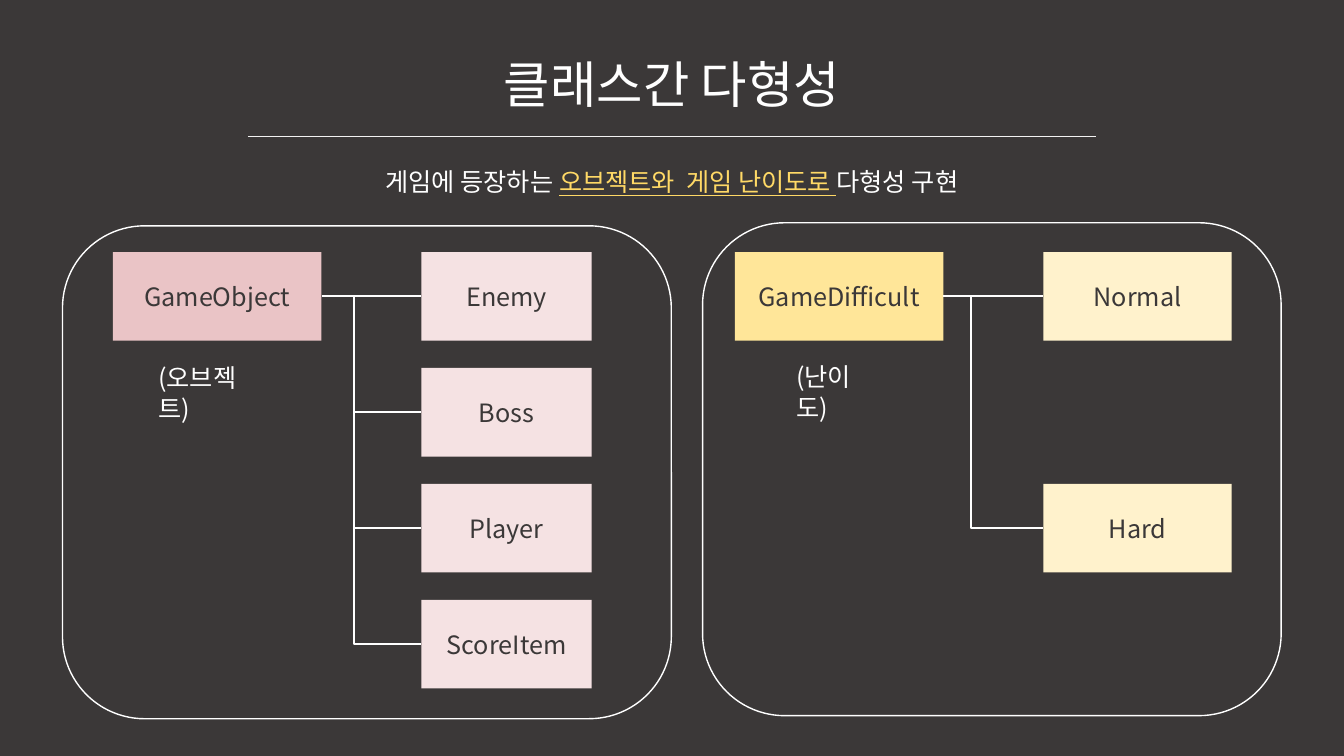
from dataclasses import dataclass

from lxml.etree import SubElement
from pptx import Presentation
from pptx.dml.color import RGBColor
from pptx.enum.shapes import MSO_CONNECTOR as Link, MSO_SHAPE as Form
from pptx.enum.text import MSO_ANCHOR as Anchor, PP_ALIGN as Align
from pptx.oxml.ns import qn
from pptx.util import Inches, Pt

FONT = "Noto Sans CJK KR"
DARK = RGBColor(0x3B, 0x38, 0x38)
WHITE = RGBColor(0xFF, 0xFF, 0xFF)
PALE = RGBColor(0xF2, 0xF2, 0xF2)
GOLD = RGBColor(0xFF, 0xD9, 0x66)
ROSE = RGBColor(0xEA, 0xC4, 0xC6)
BLUSH = RGBColor(0xF5, 0xE2, 0xE3)
YELLOW = RGBColor(0xFF, 0xE6, 0x99)
CREAM = RGBColor(0xFF, 0xF2, 0xCC)

CELL = Inches(0.1)
COLS, ROWS = 133.33, 75
TOP, STEP, HIGH = 25, 11.5, 8.8
ROOT_WIDE = 20.7


@dataclass(frozen=True)
class Area:
    left: float
    top: float
    wide: float
    high: float


@dataclass(frozen=True)
class Run:
    text: str
    color: RGBColor = WHITE
    size: int = 18
    under: bool = False


@dataclass(frozen=True)
class Child:
    name: str
    row: int


@dataclass(frozen=True)
class Family:
    root: str
    left: float
    fill: RGBColor
    kids: tuple[Child, ...]
    kid_left: float
    kid_wide: float
    tint: RGBColor
    trunk: float
    frame: Area
    note: str
    note_area: Area


FAMILIES = (
    Family("GameObject", 11.2, ROSE,
           (Child("Enemy", 0), Child("Boss", 1), Child("Player", 2), Child("ScoreItem", 3)),
           41.8, 16.9, BLUSH, 35.1, Area(6.2, 22.4, 60.4, 48.9),
           "(오브젝트)", Area(14.7, 35.5, 12.8, 4)),
    Family("GameDifficult", 72.9, YELLOW,
           (Child("Normal", 0), Child("Hard", 2)),
           103.5, 18.7, CREAM, 96.3, Area(69.7, 22.1, 57.4, 48.9),
           "(난이도)", Area(78, 35.4, 10.5, 4)),
)


def cells(count: float) -> int:
    return round(count * CELL)


def bounds(area: Area) -> tuple[int, ...]:
    return tuple(cells(n) for n in (area.left, area.top, area.wide, area.high))


def row_top(row: int) -> float:
    return TOP + STEP * row


def row_mid(row: int) -> float:
    return row_top(row) + HIGH / 2


def write(frame, runs: tuple[Run, ...], align: Align, anchor: Anchor) -> None:
    frame.word_wrap = True
    frame.vertical_anchor = anchor
    para = frame.paragraphs[0]
    para.alignment = align
    for item in runs:
        run = para.add_run()
        run.text = item.text
        font = run.font
        font.name, font.size = FONT, Pt(item.size)
        font.color.rgb = item.color
        font.underline = item.under
        SubElement(run._r.rPr, qn("a:ea"), typeface=FONT)


def add_text(shapes, area: Area, runs: tuple[Run, ...], align: Align) -> None:
    box = shapes.add_textbox(*bounds(area))
    write(box.text_frame, runs, align, Anchor.TOP)


def add_box(shapes, area: Area, name: str, fill: RGBColor) -> None:
    box = shapes.add_shape(Form.RECTANGLE, *bounds(area))
    box.shadow.inherit = False
    box.fill.solid()
    box.fill.fore_color.rgb = fill
    box.line.fill.background()
    write(box.text_frame, (Run(name, DARK),), Align.CENTER, Anchor.MIDDLE)


def add_frame(shapes, area: Area) -> None:
    frame = shapes.add_shape(Form.ROUNDED_RECTANGLE, *bounds(area))
    frame.shadow.inherit = False
    frame.fill.background()
    frame.line.color.rgb = WHITE
    frame.line.width = Pt(1)


def add_line(shapes, x1: float, y1: float, x2: float, y2: float,
             color: RGBColor = WHITE, width: float = 1.5, kind: Link = Link.STRAIGHT):
    line = shapes.add_connector(kind, *(cells(n) for n in (x1, y1, x2, y2)))
    line.line.color.rgb = color
    line.line.width = Pt(width)
    SubElement(line._element.spPr, qn("a:effectLst"))
    return line


def add_elbow(shapes, x1: float, y1: float, x2: float, y2: float) -> None:
    mid_x, mid_y = (x1 + x2) / 2, (y1 + y2) / 2
    half_w, half_h = (y2 - y1) / 2, (x2 - x1) / 2
    line = add_line(shapes, mid_x + half_w, mid_y - half_h,
                    mid_x - half_w, mid_y + half_h, kind=Link.ELBOW)
    props = line._element.spPr
    props.find(qn("a:xfrm")).set("rot", "16200000")
    props.find(qn("a:prstGeom")).set("prst", "bentConnector2")


def add_family(slide, fam: Family) -> None:
    shapes = slide.shapes.add_group_shape().shapes
    add_box(shapes, Area(fam.left, TOP, ROOT_WIDE, HIGH), fam.root, fam.fill)
    for kid in fam.kids:
        add_box(shapes, Area(fam.kid_left, row_top(kid.row), fam.kid_wide, HIGH),
                kid.name, fam.tint)
    first, *inner, last = fam.kids
    add_line(shapes, fam.left + ROOT_WIDE, row_mid(first.row),
             fam.kid_left, row_mid(first.row))
    add_elbow(shapes, fam.trunk, row_mid(first.row), fam.kid_left, row_mid(last.row))
    for kid in inner:
        add_line(shapes, fam.trunk, row_mid(kid.row), fam.kid_left, row_mid(kid.row))
    add_frame(shapes, fam.frame)
    add_text(shapes, fam.note_area, (Run(fam.note),), Align.LEFT)


def main() -> None:
    deck = Presentation()
    deck.slide_width, deck.slide_height = cells(COLS), cells(ROWS)
    slide = deck.slides.add_slide(deck.slide_layouts[5])
    slide.background.fill.solid()
    slide.background.fill.fore_color.rgb = DARK

    title = slide.shapes.title
    title.left, title.top, title.width, title.height = bounds(Area(47.2, 4.8, 38.9, 7.1))
    write(title.text_frame, (Run("클래스간 다형성", size=36),), Align.CENTER, Anchor.TOP)
    add_line(slide.shapes, 24.6, 13.5, 108.7, 13.5, PALE, 0.5)
    lead = (Run("게임에 등장하는 "),
            Run("오브젝트와  게임 난이도로 ", GOLD, under=True),
            Run("다형성 구현"))
    add_text(slide.shapes, Area(37, 16, 59.3, 4), lead, Align.CENTER)
    for fam in FAMILIES:
        add_family(slide, fam)
    deck.save("out.pptx")


if __name__ == "__main__":
    main()
